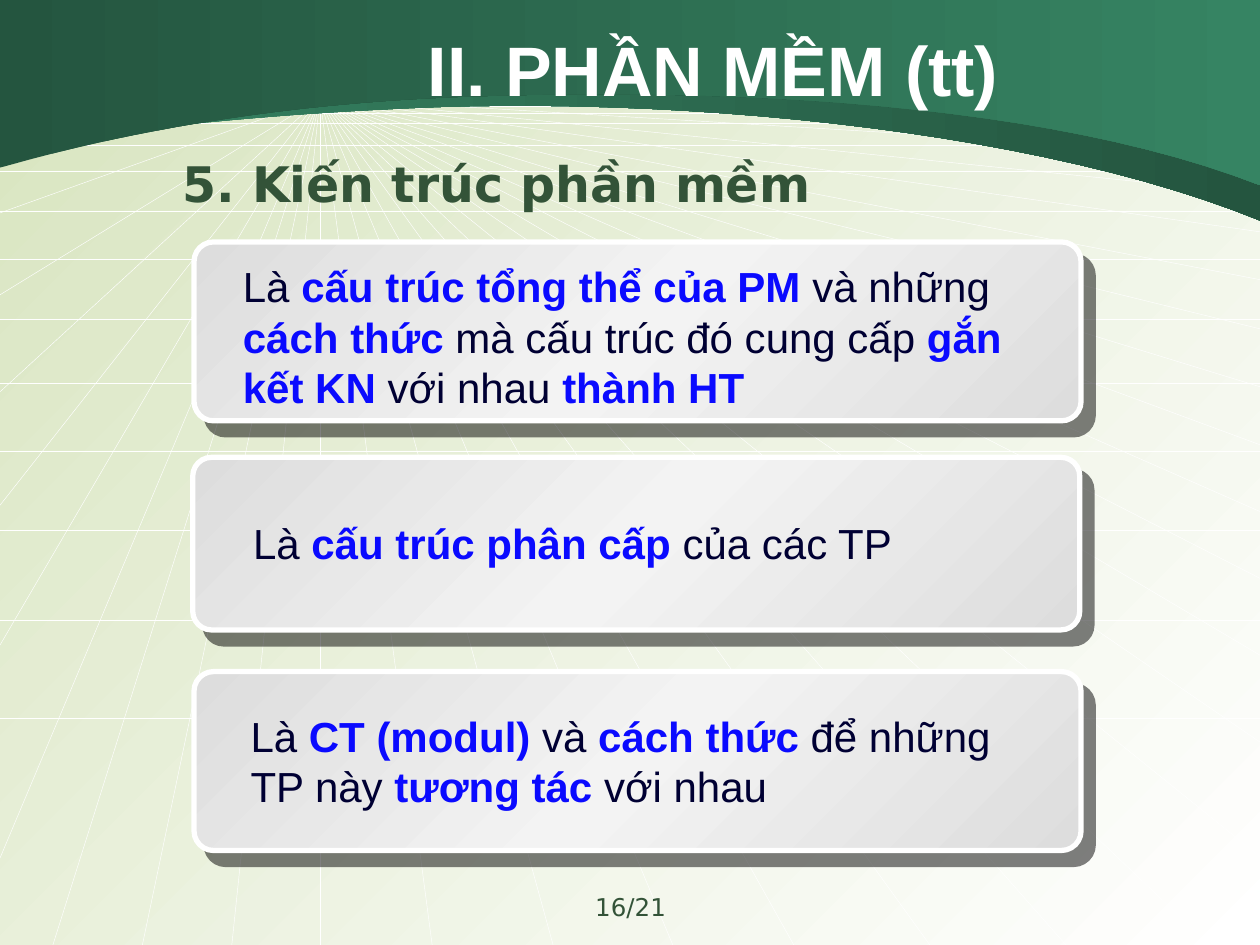
from copy import deepcopy

from lxml import etree
from pptx import Presentation
from pptx.dml.color import RGBColor
from pptx.enum.shapes import MSO_CONNECTOR, MSO_SHAPE
from pptx.enum.text import MSO_ANCHOR, PP_ALIGN
from pptx.oxml.ns import qn
from pptx.util import Inches, Pt

STRAIGHT = MSO_CONNECTOR.STRAIGHT
ROUNDED = MSO_SHAPE.ROUNDED_RECTANGLE
TOP, MIDDLE = MSO_ANCHOR.TOP, MSO_ANCHOR.MIDDLE
LEFT, CENTER = PP_ALIGN.LEFT, PP_ALIGN.CENTER

WHITE = RGBColor(0xFF, 0xFF, 0xFF)
PALE_GREEN = RGBColor(0xD7, 0xE4, 0xBE)
DARK_GREEN = RGBColor(0x24, 0x55, 0x3F)
MID_GREEN = RGBColor(0x36, 0x84, 0x63)
TEXT_GREEN = RGBColor(0x33, 0x53, 0x38)
GREY = RGBColor(0xDD, 0xDD, 0xDD)
LIGHT_GREY = RGBColor(0xF3, 0xF3, 0xF3)
NAVY = RGBColor(0x00, 0x00, 0x33)
BLUE = RGBColor(0x0A, 0x0A, 0xFF)

WIDTH, HEIGHT = 10, 7.5
APEX = (2.54, 0.78)
BOTTOM_XS = [0.42, 1.13, 1.84, 2.54, 3.43, 4.39, 5.34, 6.3, 7.38, 8.46, 9.6]
RIGHT_YS = [1, 1.23, 1.54, 1.84, 2.22, 2.61, 3.07, 3.53, 4.06, 4.59, 5.2, 5.89, 6.8]
LEFT_YS = [0.78, 0.97, 1.16, 1.16, 1.69, 2.34, 3.11, 4.01, 5.12, 6.81]
LEVEL_YS = [0.84, 0.9, 0.98, 1.15, 1.36, 1.68, 2.06, 2.53, 3.04, 3.58, 4.21, 4.92, 5.7]

LOWER_WAVE = [
    [(0, 1.19), (0.11, 1.18), (1.33, 0.93), (3.47, 0.85)],
    [(3.47, 0.85), (5.61, 0.78), (8.31, 1.06), (10, 1.75)],
]
UPPER_WAVE = [
    [(0, 1.33), (0.11, 1.31), (1.51, 0.85), (3.64, 0.77)],
    [(3.64, 0.77), (5.77, 0.69), (8.31, 0.81), (10, 1.47)],
]

CARDS = [
    ((1.54, 1.92, 7.04, 1.42), (1.83, 2.02, 6.5, 1.31),
     ["Là ", "cấu trúc tổng thể của PM ", "và những ", "cách thức ",
      "mà cấu trúc đó cung cấp ", "gắn kết KN ", "với nhau ", "thành HT"]),
    ((1.53, 3.63, 7.04, 1.37), (1.91, 4.06, 6.41, 0.5),
     ["Là ", "cấu trúc phân cấp ", "của các TP"]),
    ((1.54, 5.33, 7.04, 1.42), (1.89, 5.59, 6.33, 0.91),
     ["Là ", "CT (modul) ", "và ", "cách thức ", "để những TP này ",
      "tương tác ", "với nhau"]),
]


def set_gradient(fill, owner, angle, colors):
    """Fill with evenly spaced colours along a clockwise angle."""
    fill.gradient()
    fill.gradient_angle = -angle % 360
    stops = next(owner.iter(qn("a:gsLst")))
    for _ in colors[2:]:
        stops.append(deepcopy(stops[0]))
    for i, (stop, color) in enumerate(zip(fill.gradient_stops, colors)):
        stop.color.rgb = color
        stop.position = i / (len(colors) - 1)


def add_line(s, start, end):
    """Draw one thin white grid line."""
    line = s.shapes.add_connector(STRAIGHT, *map(Inches, start + end))
    line.line.color.rgb = WHITE
    line.line.width = Pt(0.25)
    etree.SubElement(line._element.spPr, qn("a:effectLst"))


def add_grid(s):
    """Draw the perspective rays and the level lines."""
    ends = [(x, HEIGHT) for x in BOTTOM_XS]
    ends += [(WIDTH, y) for y in RIGHT_YS] + [(0, y) for y in LEFT_YS]
    for end in ends:
        add_line(s, APEX, end)
    for y in LEVEL_YS:
        add_line(s, (0, y), (WIDTH, y))


def curve_points(curve, steps=24):
    """Sample a cubic Bezier curve, leaving out its first point."""
    points = []
    for i in range(1, steps + 1):
        t = i / steps
        weights = ((1 - t) ** 3, 3 * t * (1 - t) ** 2, 3 * t * t * (1 - t), t ** 3)
        points.append(tuple(sum(w * p[axis] for w, p in zip(weights, curve))
                            for axis in (0, 1)))
    return points


def add_wave(s, curves, colors):
    """Draw a header band whose lower edge follows the curves."""
    points = [curves[0][0]]
    for curve in curves:
        points += curve_points(curve)
    points.append((WIDTH, 0))
    builder = s.shapes.build_freeform(0, 0)
    builder.add_line_segments([(Inches(x), Inches(y)) for x, y in points])
    sp = builder.convert_to_shape()
    sp.shadow.inherit = False
    sp.line.fill.background()
    set_gradient(sp.fill, sp._element, 0, colors)


def add_card(s, box):
    """Draw a grey rounded card with a white rim and a hard shadow."""
    sp = s.shapes.add_shape(ROUNDED, *map(Inches, box))
    sp.adjustments[0] = 0.109
    set_gradient(sp.fill, sp._element, 45, [GREY, LIGHT_GREY, GREY])
    sp.line.color.rgb = WHITE
    sp.line.width = Pt(3)
    sp.shadow.inherit = False
    effects = sp._element.spPr.find(qn("a:effectLst"))
    shadow = etree.SubElement(effects, qn("a:outerShdw"), dist=str(Pt(10.6)),
                              dir=str(49 * 60000), algn="ctr", rotWithShape="0")
    color = etree.SubElement(shadow, qn("a:srgbClr"), val="000000")
    etree.SubElement(color, qn("a:alpha"), val="50000")


def add_text(s, box, parts, size=24, font="Arial", color=NAVY, bold=False,
             align=LEFT, anchor=TOP, before=0):
    """Add a paragraph in which every second part is bold blue."""
    tf = s.shapes.add_textbox(*map(Inches, box)).text_frame
    tf.word_wrap = True
    tf.vertical_anchor = anchor
    p = tf.paragraphs[0]
    p.alignment = align
    p.space_before = Pt(before)
    for i, part in enumerate(parts):
        key = i % 2 == 1
        r = p.add_run()
        r.text = part
        r.font.name = font
        r.font.size = Pt(size)
        r.font.bold = bold or key
        r.font.color.rgb = BLUE if key else color


def main():
    """Build and save the slide."""
    prs = Presentation()
    prs.slide_width, prs.slide_height = Inches(WIDTH), Inches(HEIGHT)
    s = prs.slides.add_slide(prs.slide_layouts[6])
    set_gradient(s.background.fill, s._element, 45, [PALE_GREEN, WHITE])
    add_grid(s)
    add_wave(s, LOWER_WAVE, [MID_GREEN, DARK_GREEN])
    add_wave(s, UPPER_WAVE, [DARK_GREEN, MID_GREEN])
    add_text(s, (1.62, 0.23, 8.08, 0.62), ["II. PHẦN MỀM (tt)"], size=40,
             color=WHITE, bold=True, align=CENTER, anchor=MIDDLE)
    add_text(s, (0.85, 1.17, 8.48, 5.68), ["\t5. Kiến trúc phần mềm"], size=28,
             font="DejaVu Sans", color=TEXT_GREEN, bold=True, before=5.6)
    add_text(s, (3.42, 7.03, 3.17, 0.35), ["16/21"], size=14,
             font="DejaVu Sans", color=TEXT_GREEN, align=CENTER)
    for card_box, text_box, parts in CARDS:
        add_card(s, card_box)
        add_text(s, text_box, parts)
    prs.save("out.pptx")


if __name__ == "__main__":
    main()
